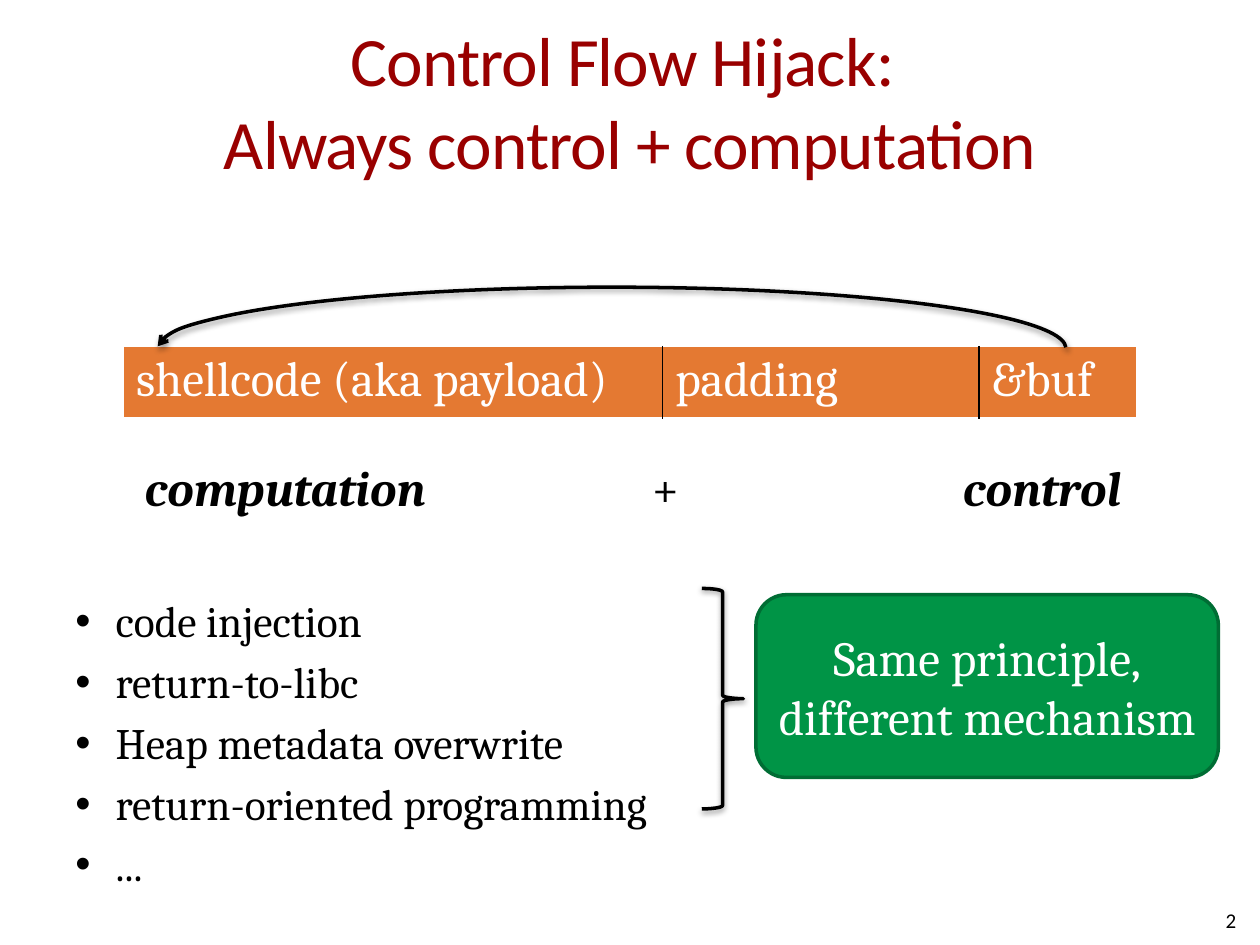
from dataclasses import dataclass

from lxml import etree
from pptx import Presentation
from pptx import util as u
from pptx.dml.color import RGBColor
from pptx.enum import shapes, text
from pptx.oxml import parse_xml
from pptx.oxml.ns import qn

NS = 'xmlns:a="http://schemas.openxmlformats.org/drawingml/2006/main"'
LEFT, MID, RIGHT = text.PP_ALIGN.LEFT, text.PP_ALIGN.CENTER, text.PP_ALIGN.RIGHT


@dataclass(frozen=True)
class Theme:
    """Colours, fonts and type sizes of the slide."""
    head: str = "990000"
    ink: str = "000000"
    pale: str = "FFFFFF"
    cell: str = "E47932"
    note: str = "009446"
    edge: str = "006D34"
    sans: str = "Calibri"
    serif: str = "Cambria"
    title: float = 39.6
    body: float = 28
    item: float = 24.8
    page: float = 12
    line: float = 2


T = Theme()


def rgb(code):
    """Turn a hex code into a colour."""
    return RGBColor.from_string(code)


def write(para, words, size=T.body, font=T.serif, color=T.ink, bold=False,
          slant=False, align=LEFT, space=0, track=0):
    """Add formatted words to a paragraph."""
    para.alignment = align
    para.space_before = u.Pt(space)
    for num, part in enumerate(words.split("\v")):
        if num:
            para.add_line_break()
        run = para.add_run()
        run.text = part
        face = run.font
        face.size, face.name = u.Pt(size), font
        face.bold, face.italic = bold, slant
        face.color.rgb = rgb(color)
        if track:
            run._r.get_or_add_rPr().set("spc", str(track))


def frame(slide, box, anchor=text.MSO_ANCHOR.TOP):
    """Add a wrapping text box and return its text frame."""
    area = slide.shapes.add_textbox(*map(u.Inches, box)).text_frame
    area.word_wrap = True
    area.vertical_anchor = anchor
    return area


def stroke(shape, color=T.ink):
    """Give a shape its outline and no inherited shadow."""
    shape.shadow.inherit = False
    shape.line.color.rgb = rgb(color)
    shape.line.width = u.Pt(T.line)


def outline(slide, kind, box):
    """Add an unfilled shape with a soft shadow below it."""
    shape = slide.shapes.add_shape(kind, *map(u.Inches, box))
    shape.fill.background()
    stroke(shape)
    glow = shape._element.spPr.find(qn("a:effectLst"))
    glow.append(parse_xml(
        f'<a:outerShdw {NS} blurRad="40000" dist="20000" dir="5400000" '
        'rotWithShape="0"><a:srgbClr val="000000"><a:alpha val="38000"/>'
        '</a:srgbClr></a:outerShdw>'))
    return shape


def title(slide, box):
    """Place the two-line heading."""
    area = frame(slide, box, text.MSO_ANCHOR.MIDDLE)
    area.margin_left = area.margin_right = 0
    write(area.paragraphs[0],
          "Control Flow Hijack: \vAlways control + computation",
          size=T.title, font=T.sans, color=T.head, align=MID, track=-50)


def border(cell, side):
    """Draw a thin line on one side of a cell."""
    cell._tc.get_or_add_tcPr().insert(0, parse_xml(
        f'<a:{side} {NS} w="12700"><a:solidFill><a:srgbClr val="{T.ink}"/>'
        f'</a:solidFill></a:{side}>'))


def buffer(slide, box):
    """Place the one-row memory layout."""
    parts = (("shellcode (aka payload)", 4.28), ("padding", 2.51), ("&buf", 1.25))
    table = slide.shapes.add_table(1, len(parts), *map(u.Inches, box)).table
    table.first_row = table.horz_banding = False
    for num, (label, width) in enumerate(parts):
        table.columns[num].width = u.Inches(width)
        cell = table.cell(0, num)
        cell.fill.solid()
        cell.fill.fore_color.rgb = rgb(T.cell)
        write(cell.text_frame.paragraphs[0], label, color=T.pale)
        if num < len(parts) - 1:
            border(cell, "lnR")
        if num:
            border(cell, "lnL")


def jump(slide, box):
    """Place the curved arrow from the address back to the code."""
    arc = outline(slide, shapes.MSO_SHAPE.ARC, box)
    arc.adjustments[0], arc.adjustments[1] = 0.08, 107.85
    arc._element.spPr.find(qn("a:xfrm")).set("flipV", "1")
    etree.SubElement(arc.line._get_or_add_ln(), qn("a:tailEnd"), type="arrow")


def sum_up(slide, box):
    """Place the caption, with tab stops at its middle and right end."""
    para = frame(slide, box).paragraphs[0]
    write(para, "computation\t", bold=True, slant=True, space=5.6)
    write(para, "+\t", space=5.6)
    write(para, "control", bold=True, slant=True, space=5.6)
    inner = box[2] - 0.2
    tabs = etree.SubElement(para._p.get_or_add_pPr(), qn("a:tabLst"))
    for stop, align in ((inner * 0.53, "ctr"), (inner - 0.05, "r")):
        etree.SubElement(tabs, qn("a:tab"), pos=str(u.Inches(stop)), algn=align)


def items(slide, box):
    """Place the bulleted list of attacks."""
    area = frame(slide, box)
    names = ("code injection", "return-to-libc", "Heap metadata overwrite",
             "return-oriented programming", "...")
    for num, name in enumerate(names):
        para = area.add_paragraph() if num else area.paragraphs[0]
        write(para, name, size=T.item, space=5)
        props = para._p.get_or_add_pPr()
        props.set("marL", str(u.Inches(0.32)))
        props.set("indent", str(u.Inches(-0.32)))
        etree.SubElement(props, qn("a:buFont"), typeface="Arial")
        etree.SubElement(props, qn("a:buChar"), char="•")


def note(slide, box):
    """Place the green remark."""
    card = slide.shapes.add_shape(shapes.MSO_SHAPE.ROUNDED_RECTANGLE,
                                  *map(u.Inches, box))
    card.fill.solid()
    card.fill.fore_color.rgb = rgb(T.note)
    stroke(card, T.edge)
    area = card.text_frame
    area.word_wrap = True
    area.vertical_anchor = text.MSO_ANCHOR.MIDDLE
    write(area.paragraphs[0], "Same principle,\vdifferent mechanism",
          color=T.pale, align=MID)


def page(slide, box):
    """Place the page number."""
    area = frame(slide, box, text.MSO_ANCHOR.MIDDLE)
    write(area.paragraphs[0], "2", size=T.page, font=T.sans, align=RIGHT)


def main():
    """Build and save the slide."""
    deck = Presentation()
    deck.slide_width, deck.slide_height = u.Inches(10), u.Inches(7.5)
    slide = deck.slides.add_slide(deck.slide_layouts[6])
    title(slide, (0.5, 0.17, 9, 1.25))
    sum_up(slide, (1.05, 3.58, 8, 0.65))
    buffer(slide, (0.98, 2.75, 8.04, 0.55))
    jump(slide, (1.25, 2.28, 7.21, 0.97))
    page(slide, (7.58, 7.1, 2.33, 0.4))
    items(slide, (0.5, 4.67, 9, 2.17))
    outline(slide, shapes.MSO_SHAPE.RIGHT_BRACE, (5.57, 4.67, 0.33, 1.75))
    note(slide, (6, 4.72, 3.67, 1.45))
    deck.save("out.pptx")


if __name__ == "__main__":
    main()
